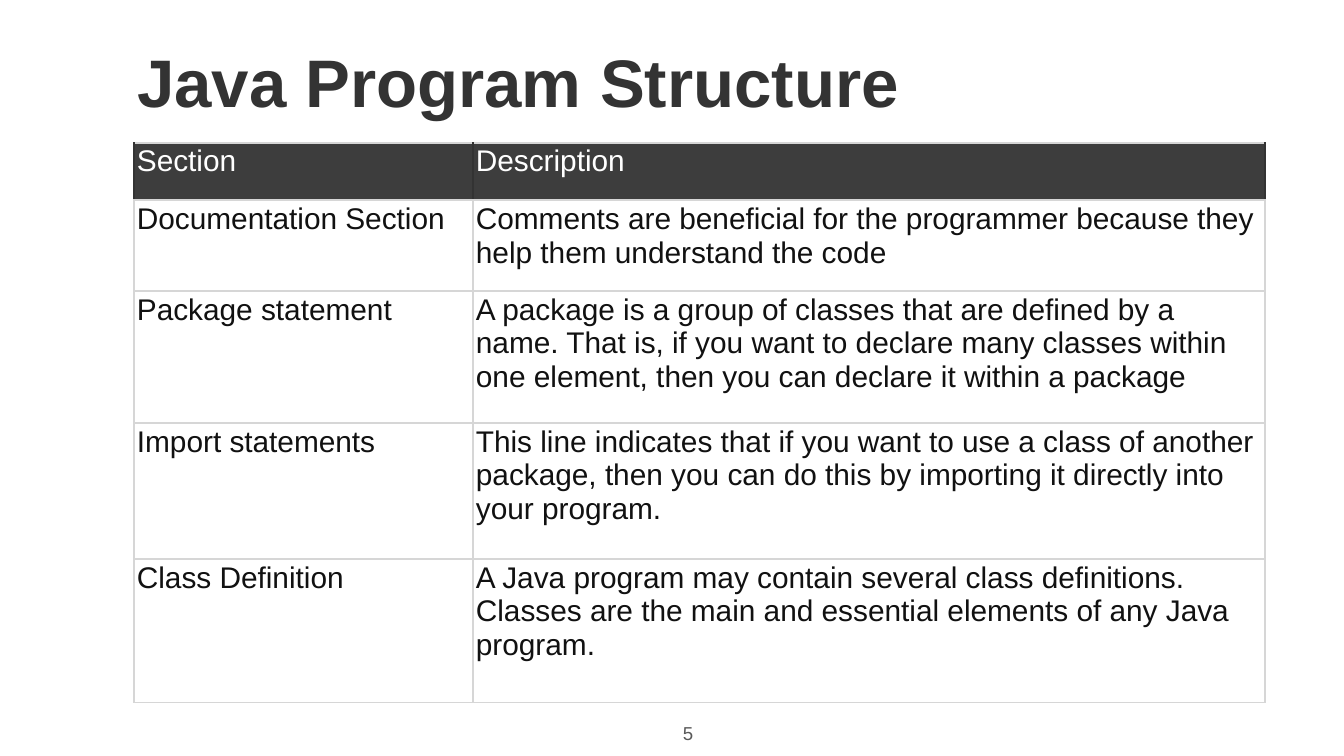
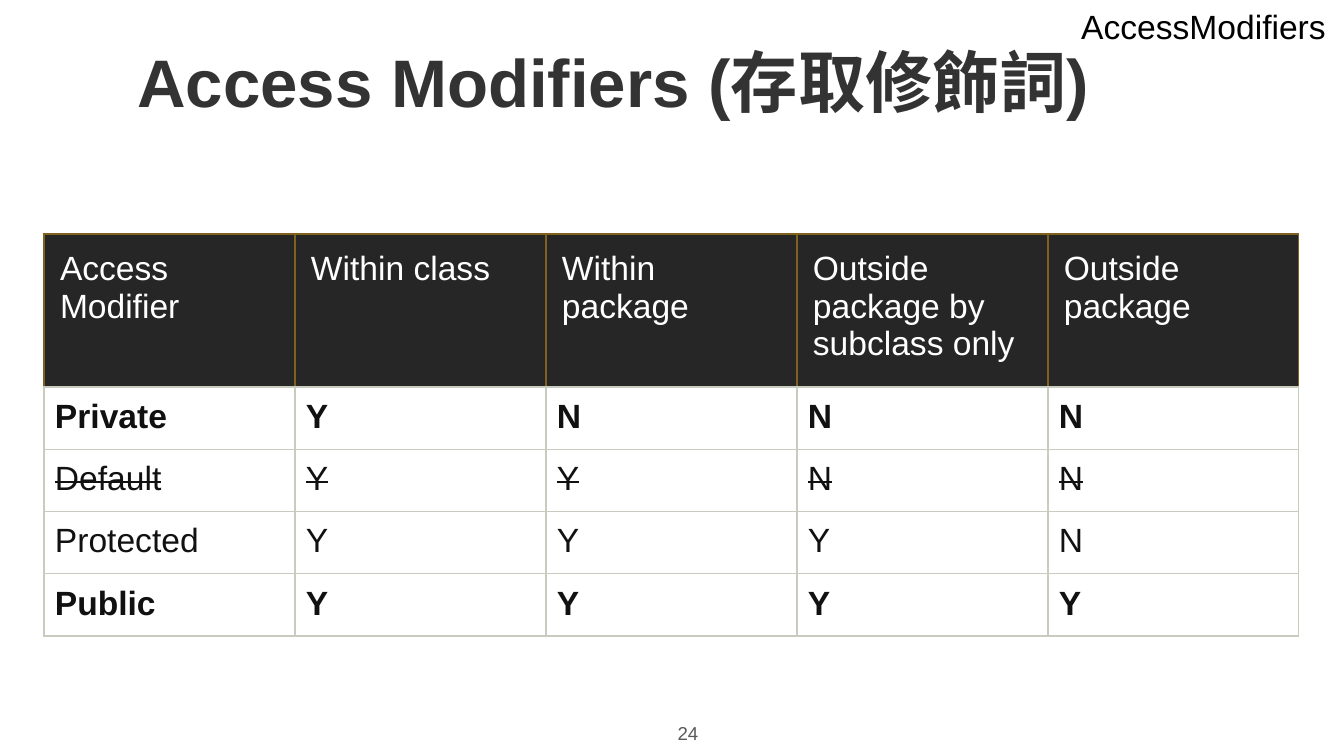
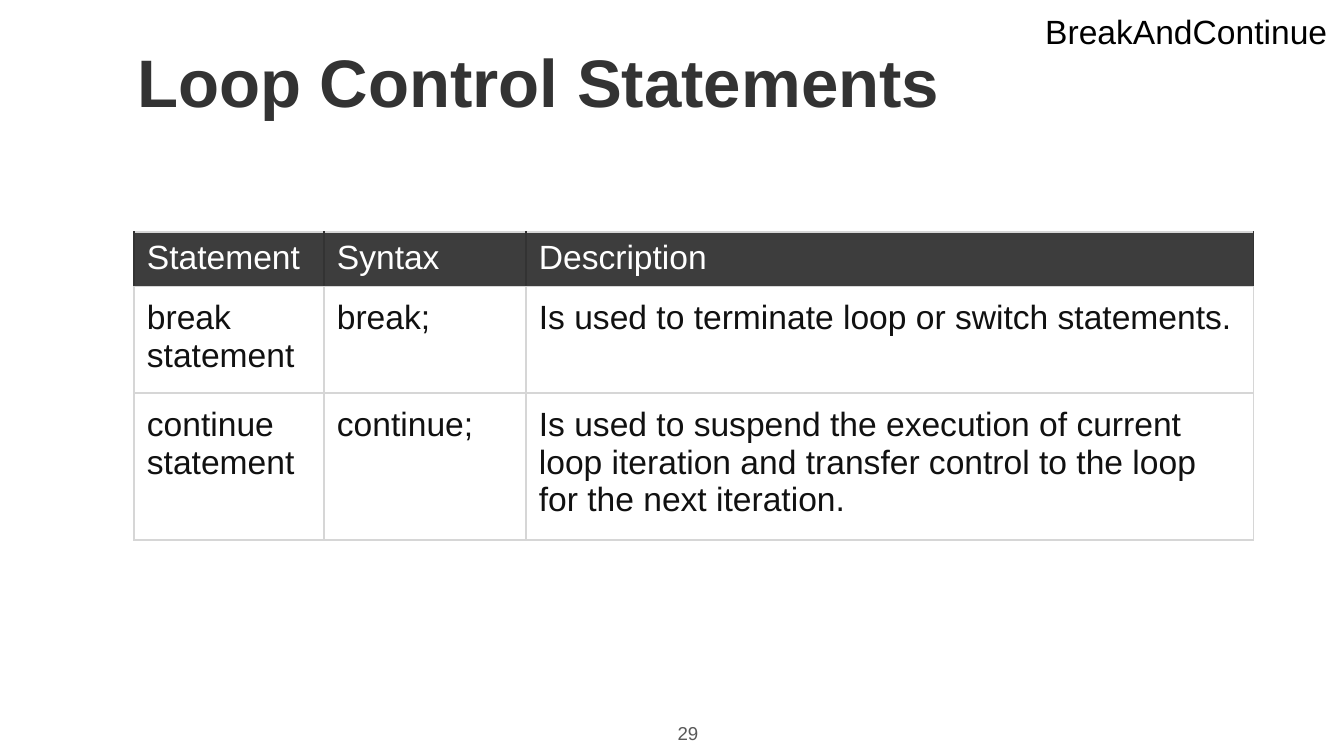
from pptx import Presentation
from pptx.dml.color import RGBColor
from pptx.enum import text
from pptx.oxml import parse_xml
from pptx.oxml.ns import nsdecls
from pptx.util import Pt

PX = 914400 / 134.4
INK, BODY, GREY, WHITE = "333333", "111111", "595959", "FFFFFF"
ANCHOR, ALIGN = text.MSO_ANCHOR, text.PP_ALIGN


def style(para, size, color, bold=False):
    font = para.font
    font.name, font.size, font.bold = "Arial", Pt(size), bold
    font.color.rgb = RGBColor.from_string(color)


def label(slide, box, words, size, color, pad=7, wrap=True):
    frame = slide.shapes.add_textbox(*[round(n * PX) for n in box]).text_frame
    frame.word_wrap = wrap
    frame.margin_top = frame.margin_bottom = round(pad * PX)
    frame.text = words
    style(frame.paragraphs[0], size, color)
    return frame


pages = [
    dict(
        title="Java Program Structure", num="5", tag=None,
        at=(134, 143), cols=[339, 792], rows=[57, 91, 132, 136, 144],
        size=16, head="3D3D3D", edge="333333", top="D6D6D6", line="D6D6D6",
        pads=[(3, 2), (3, 3)], bold=[], struck=[],
        data=[
            ["Section", "Description"],
            ["Documentation Section",
             "Comments are beneficial for the programmer because they help them understand the code"],
            ["Package statement",
             "A package is a group of classes that are defined by a name. That is, if you want to "
             "declare many classes within one element, then you can declare it within a package"],
            ["Import statements",
             "This line indicates that if you want to use a class of another package, then you can "
             "do this by importing it directly into your program."],
            ["Class Definition",
             "A Java program may contain several class definitions. Classes are the main and "
             "essential elements of any Java program."],
        ],
    ),
    dict(
        title="Access Modifiers (存取修飾詞)", num="24",
        tag=("AccessModifiers", (1068, -1, 275, 54)),
        at=(44, 234), cols=[251] * 5, rows=[146] + [59] * 4,
        size=18, head="262626", edge="80611F", top="80611F", line="C7CCBE",
        pads=[(16, 16), (11, 11)], bold=[1, 4], struck=[2],
        data=[
            ["Access Modifier", "Within class", "Within package",
             "Outside package by subclass only", "Outside package"],
            ["Private", "Y", "N", "N", "N"],
            ["Default", "Y", "Y", "N", "N"],
            ["Protected", "Y", "Y", "Y", "N"],
            ["Public", "Y", "Y", "Y", "Y"],
        ],
    ),
    dict(
        title="Loop Control Statements", num="29",
        tag=("BreakAndContinue", (1032, 4, 312, 54)),
        at=(134, 232), cols=[190, 202, 728], rows=[51, 104, 141],
        size=18, head="3D3D3D", edge="333333", top="D6D6D6", line="D6D6D6",
        pads=[(13, 7), (13, 13)], bold=[], struck=[],
        data=[
            ["Statement", "Syntax", "Description"],
            ["break statement", "break;", "Is used to terminate loop or switch statements."],
            ["continue statement", "continue;",
             "Is used to suspend the execution of current loop iteration and transfer control to "
             "the loop for the next iteration."],
        ],
    ),
]

deck = Presentation()
deck.slide_width, deck.slide_height = round(1344 * PX), round(756 * PX)

for page in pages:
    slide = deck.slides.add_slide(deck.slide_layouts[6])
    title = label(slide, (124, 31, 1165, 95), page["title"], 36, INK, pad=5)
    title.vertical_anchor = ANCHOR.BOTTOM
    title.paragraphs[0].font.bold = True
    num = label(slide, (649, 714, 78, 42), page["num"], 10, GREY, pad=8)
    num.paragraphs[0].alignment = ALIGN.CENTER

    cols, rows = page["cols"], page["rows"]
    box = [round(n * PX) for n in (*page["at"], sum(cols), sum(rows))]
    grid = slide.shapes.add_table(len(rows), len(cols), *box).table
    grid.first_row = grid.horz_banding = False
    for col, width in zip(grid.columns, cols):
        col.width = round(width * PX)
    for r, (row, height) in enumerate(zip(grid.rows, rows)):
        row.height = round(height * PX)
        head = r == 0
        side = page["edge"] if head else page["line"]
        top = page["top"] if head else page["line"]
        wide, high = [round(n * PX) for n in page["pads"][0 if head else 1]]
        for cell, words in zip(row.cells, page["data"][r]):
            cell.text = words
            cell.margin_left = cell.margin_right = wide
            cell.margin_top = cell.margin_bottom = high
            para = cell.text_frame.paragraphs[0]
            style(para, page["size"], WHITE if head else BODY, r in page["bold"])
            if r in page["struck"]:
                para.runs[0]._r.get_or_add_rPr().set("strike", "sngStrike")
            props = cell._tc.get_or_add_tcPr()
            for name, color in zip("LRTB", (side, side, top, page["line"])):
                props.append(parse_xml(
                    f'<a:ln{name} {nsdecls("a")} w="9525"><a:solidFill>'
                    f'<a:srgbClr val="{color}"/></a:solidFill></a:ln{name}>'))
            cell.fill.solid()
            cell.fill.fore_color.rgb = RGBColor.from_string(page["head"] if head else WHITE)

    if page["tag"]:
        words, box = page["tag"]
        label(slide, box, words, 18, "000000", wrap=False)

deck.save("out.pptx")
